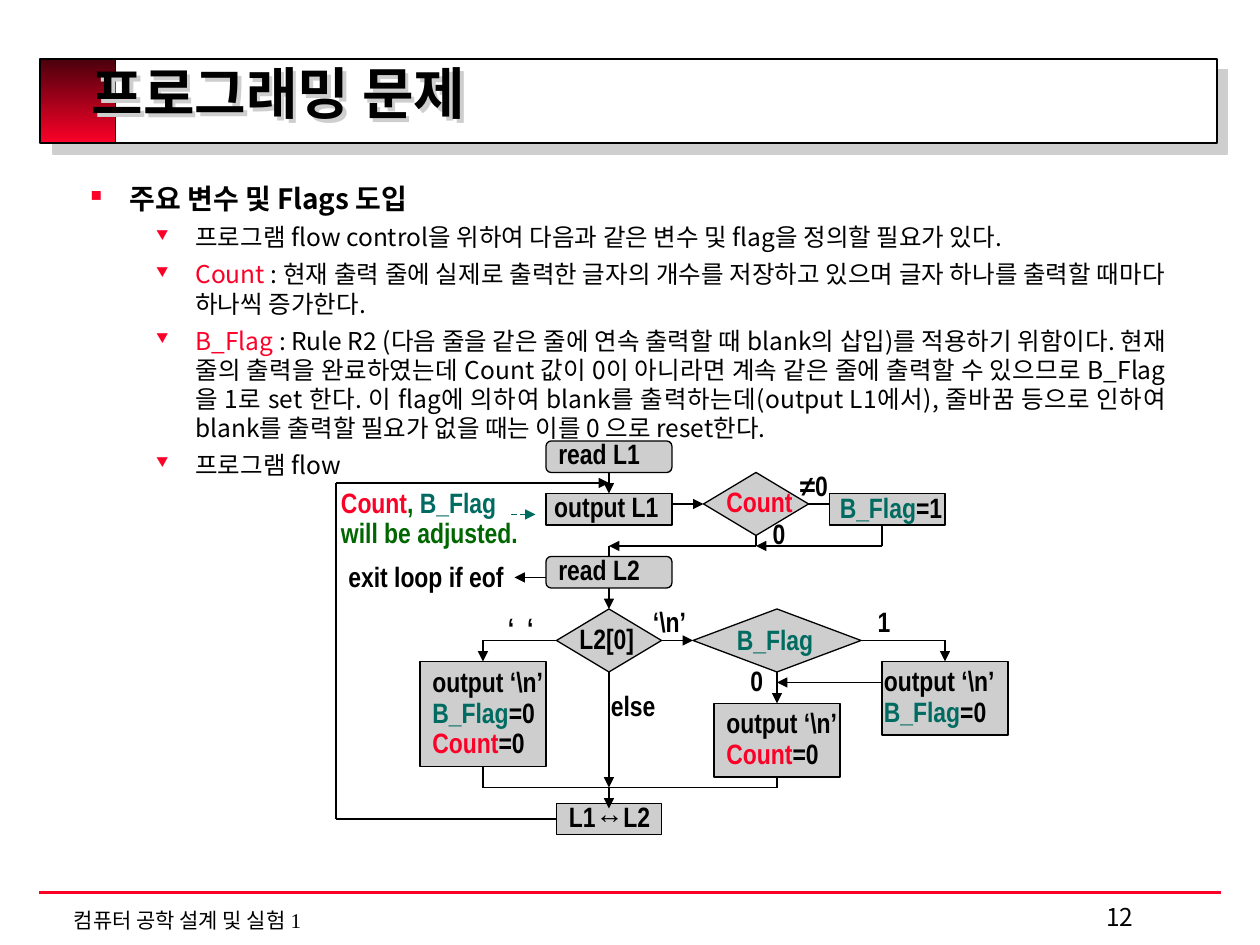
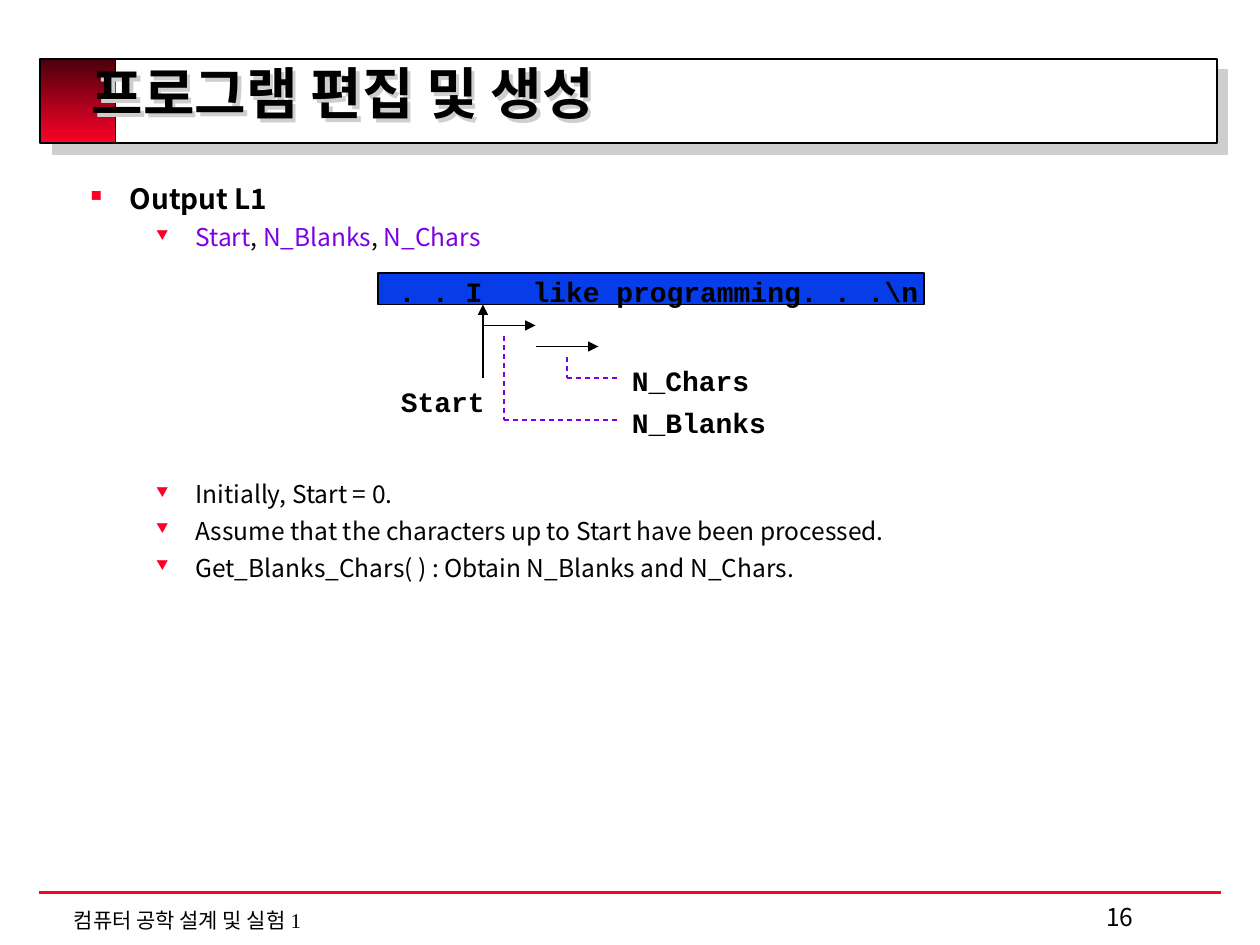
import itertools

import pptx
import pptx.dml.color
import pptx.enum.dml
import pptx.enum.shapes
import pptx.enum.text
import pptx.oxml.ns
import pptx.util
from lxml import etree

Cm, Pt = pptx.util.Cm, pptx.util.Pt
qn = pptx.oxml.ns.qn
rgb = pptx.dml.color.RGBColor.from_string
SHAPE = pptx.enum.shapes.MSO_SHAPE
RECT, ROUND, DIAMOND = SHAPE.RECTANGLE, SHAPE.ROUNDED_RECTANGLE, SHAPE.DIAMOND

BLACK, WHITE, RED, DARK_RED = "000000", "FFFFFF", "FC0128", "4B000C"
GRAY, TEAL, GREEN, VIOLET, BLUE = "CECECE", "006B61", "006600", "7B00E4", "063DE8"
SANS, SERIF, NARROW, MONO = "Noto Sans CJK KR", "Times New Roman", "Arial Narrow", "Courier New"
GRID = 2.54 / 12  # diagrams sit on a grid of twelve steps to the inch, in cm


def add_text(s, x, y, w, h, paras, size, font, bold=False, wrap=True):
    """Add a text box; each paragraph is a list of (text, colour) runs."""
    sp = s.shapes.add_textbox(Cm(x), Cm(y), Cm(w), Cm(h))
    tf = sp.text_frame
    tf.word_wrap = wrap
    for i, runs in enumerate(paras):
        p = tf.paragraphs[0] if i == 0 else tf.add_paragraph()
        for text, color in runs:
            r = p.add_run()
            r.text = text
            r.font.size = Pt(size)
            r.font.bold = bold
            r.font.color.rgb = rgb(color)
            r.font.name = font
            etree.SubElement(r._r.get_or_add_rPr(), qn("a:ea"), typeface=SANS)
    return sp


def add_box(s, kind, x, y, w, h, fill, width=0.75):
    sp = s.shapes.add_shape(kind, Cm(x), Cm(y), Cm(w), Cm(h))
    sp.shadow.inherit = False
    sp.fill.solid()
    sp.fill.fore_color.rgb = rgb(fill)
    sp.line.color.rgb = rgb(BLACK)
    sp.line.width = Pt(width)
    return sp


# Body: (level, space before in points, runs)
flow_body = [
    (0, 0, [("주요 변수 및 Flags 도입", BLACK)]),
    (1, 4.4, [("프로그램 flow control을 위하여 다음과 같은 변수 및 flag을 정의할 필요가 있다.", BLACK)]),
    (1, 4.4, [("Count ", RED),
              (": 현재 출력 줄에 실제로 출력한 글자의 개수를 저장하고 있으며 글자 하나를 출력할 "
               "때마다 하나씩 증가한다.", BLACK)]),
    (1, 4.4, [("B_Flag", RED),
              (" : Rule R2 (다음 줄을 같은 줄에 연속 출력할 때 blank의 삽입)를 적용하기 위함이다. "
               "현재 줄의 출력을 완료하였는데 Count 값이 0이 아니라면 계속 같은 줄에 출력할 수 있으므로 "
               "B_Flag 을 1로 set 한다. 이 flag에 의하여 blank를 출력하는데(output L1에서), "
               "줄바꿈 등으로 인하여 blank를 출력할 필요가 없을 때는 이를 0 으로 reset한다.", BLACK)]),
    (1, 4.4, [("프로그램 flow", BLACK)]),
]
output_body = [
    (0, 0, [("Output L1", BLACK)]),
    (1, 4.4, [("Start", VIOLET), (", ", BLACK), ("N_Blanks", VIOLET), (", ", BLACK),
              ("N_Chars", VIOLET)]),
    (1, 130, [("Initially, Start = 0.", BLACK)]),
    (1, 4.4, [("Assume that the characters up to Start have been processed.", BLACK)]),
    (1, 4.4, [("Get_Blanks_Chars( ) : Obtain N_Blanks and N_Chars.", BLACK)]),
]

# Boxes: (kind, x, y, w, h, fill) in grid steps
flow_boxes = [
    (ROUND, 52, 42, 12, 3, GRAY),
    (RECT, 52, 47, 12, 3, GRAY),
    (DIAMOND, 67, 45, 10, 6, GRAY),
    (RECT, 79, 47, 11, 3, GRAY),
    (ROUND, 52, 53, 12, 3, GRAY),
    (DIAMOND, 53, 58, 10, 6, GRAY),
    (DIAMOND, 66, 58, 16, 6, GRAY),
    (RECT, 40, 63, 12, 10, GRAY),
    (RECT, 84, 63, 12, 7, GRAY),
    (RECT, 68, 67, 12, 7, GRAY),
    (RECT, 53, 76.5, 10, 3, GRAY),
]
output_boxes = [(RECT, 36, 26, 52, 3, BLUE)]

# Labels: (x, y, w, paragraphs) in grid steps, each wide enough for its longest line
newline = [("output ‘\\n’", BLACK)]
flag_zero = [("B_Flag", TEAL), ("=0", BLACK)]
count_zero = [("Count", RED), ("=0", BLACK)]
flow_labels = [
    (52, 41, 12, [[("read L1", BLACK)]]),
    (51.6, 46, 14, [[("output L1", BLACK)]]),
    (68, 45.6, 11, [[("Count", RED)]]),
    (75, 44, 8, [[("≠0", BLACK)]]),
    (72.4, 48.6, 5, [[("0", BLACK)]]),
    (78.8, 46.1, 15, [[("B_Flag", TEAL), ("=1", BLACK)]]),
    (31.3, 46, 23, [[("Count", RED), (", ", GREEN), ("B_Flag", TEAL)],
                    [("will be adjusted.", GREEN)]]),
    (52, 52, 12, [[("read L2", BLACK)]]),
    (32, 52.7, 20, [[("exit loop if eof", BLACK)]]),
    (54, 58.6, 10, [[("L2[0]", BLACK)]]),
    (47.2, 57.6, 7, [[("‘  ‘", BLACK)]]),
    (61, 57, 8, [[("‘\\n’", BLACK)]]),
    (57, 65, 10, [[("else", BLACK)]]),
    (69, 58.7, 12, [[("B_Flag", TEAL)]]),
    (82.4, 57, 5, [[("1", BLACK)]]),
    (70.3, 62.6, 5, [[("0", BLACK)]]),
    (40, 63.1, 15, [newline, flag_zero, count_zero]),
    (83, 63, 15, [newline, flag_zero]),
    (68, 67, 15, [newline, count_zero]),
    (53, 75.6, 13, [[("L1↔L2", BLACK)]]),
]
output_labels = [
    (36.8, 25.6, 55, [[(". . I   like programming. . .\\n", BLACK)]]),
    (37, 36, 12, [[("Start", BLACK)]]),
    (59, 34, 16, [[("N_Chars", BLACK)]]),
    (59, 38, 18, [[("N_Blanks", BLACK)]]),
]

# Paths: (points in grid steps, arrow at the end, colour, dashed)
flow_paths = [
    ([(58, 45), (58, 47)], True, BLACK, False),
    ([(64, 48), (67, 48)], True, BLACK, False),
    ([(77, 48), (79, 48)], False, BLACK, False),
    ([(84, 50), (84, 52), (72, 52)], True, BLACK, False),
    ([(72, 51), (72, 52), (58, 52)], True, BLACK, False),
    ([(58, 52), (58, 53)], False, BLACK, False),
    ([(52, 55), (49, 55)], True, BLACK, False),
    ([(58, 56), (58, 58)], True, BLACK, False),
    ([(53, 61), (46, 61), (46, 63)], True, BLACK, False),
    ([(63, 61), (66, 61)], True, BLACK, False),
    ([(82, 61), (90, 61), (90, 63)], True, BLACK, False),
    ([(84, 65), (74, 65)], True, BLACK, False),
    ([(74, 64), (74, 67)], True, BLACK, False),
    ([(58, 64), (58, 75)], True, BLACK, False),
    ([(46, 73), (46, 75), (74, 75), (74, 74)], False, BLACK, False),
    ([(58, 75), (58, 77)], True, BLACK, False),
    ([(53, 78), (32, 78), (32, 46), (58, 46)], True, BLACK, False),
    ([(48.7, 49), (51, 49)], True, TEAL, True),
]
output_paths = [
    ([(46, 36), (46, 29)], True, BLACK, False),
    ([(46, 31), (51, 31)], True, BLACK, False),
    ([(51, 33), (57, 33)], True, BLACK, False),
    ([(54, 34), (54, 36), (59, 36)], False, VIOLET, True),
    ([(48, 32), (48, 40), (59, 40)], False, VIOLET, True),
]
footer_rule = ([(3.75, 85), (116.25, 85)], False, RED, False)

prs = pptx.Presentation()
prs.slide_width, prs.slide_height = Cm(25.4), Cm(19.05)

for title, number, body, font, boxes, labels, paths in [
    ("프로그래밍 문제", "12", flow_body, NARROW, flow_boxes, flow_labels, flow_paths),
    ("프로그램 편집 및 생성", "16", output_body, MONO, output_boxes, output_labels, output_paths),
]:
    s = prs.slides.add_slide(prs.slide_layouts[6])

    # Title band and red square
    band = add_box(s, RECT, 0.86, 1.19, 23.67, 1.7, WHITE, 1)
    square = add_box(s, RECT, 0.81, 1.19, 1.52, 1.7, RED, 1)
    square.fill.gradient()
    square.fill.gradient_angle = 270
    for stop, color in zip(square.fill.gradient_stops, (DARK_RED, RED)):
        stop.color.rgb = rgb(color)

    # Title
    heading = add_text(s, 1.6, 0.84, 22.22, 2.29, [[(title, BLACK)]], 32, SERIF, bold=True)
    heading.text_frame.vertical_anchor = pptx.enum.text.MSO_ANCHOR.MIDDLE
    heading.text_frame.paragraphs[0].line_spacing = 0.8
    heading.shadow.inherit = False

    # Grey offset shadows of the band and the title
    for sp, distance in ((band, 8.5), (heading, 3)):
        effects = sp._element.spPr.find(qn("a:effectLst"))
        shadow = etree.SubElement(effects, qn("a:outerShdw"), dist=str(Pt(distance)),
                                  dir="2700000", algn="ctr", rotWithShape="0")
        etree.SubElement(shadow, qn("a:srgbClr"), val=GRAY)

    # Footer
    add_text(s, 1.24, 18.18, 16.97, 0.76, [[("컴퓨터 공학 설계 및 실험 1", BLACK)]], 12, SERIF)
    add_text(s, 22.05, 18.06, 2.74, 0.84, [[(number, BLACK)]], 14, SANS)

    # Body
    tf = add_text(s, 1.58, 3.54, 22.17, 13.2, [runs for _, _, runs in body], 14, SANS).text_frame
    for p, (level, before, _) in zip(tf.paragraphs, body):
        p.level = level
        p.alignment = pptx.enum.text.PP_ALIGN.JUSTIFY
        p.space_before = Pt(before)
        p.line_spacing = Pt((19, 16.7)[level])
        for r in p.runs:
            r.font.size = Pt((16, 14)[level])
            r.font.bold = level == 0
        pPr = p._p.get_or_add_pPr()
        pPr.set("marL", str(Cm((0.79, 2.11)[level])))
        pPr.set("indent", str(Cm(-0.79)))
        color = etree.SubElement(pPr, qn("a:buClr"))
        etree.SubElement(color, qn("a:srgbClr"), val=RED)
        etree.SubElement(pPr, qn("a:buSzPct"), val="55000")
        etree.SubElement(pPr, qn("a:buChar"), char="■▼"[level])

    # Diagram
    for kind, x, y, w, h, fill in boxes:
        add_box(s, kind, x * GRID, y * GRID, w * GRID, h * GRID, fill)

    for x, y, w, paras in labels:
        h = 1.5 + 2.8 * len(paras)
        tf = add_text(s, x * GRID, y * GRID, w * GRID, h * GRID, paras, 16, font,
                      bold=True).text_frame
        if len(paras) > 1:
            for p in tf.paragraphs:
                p.line_spacing = 0.9

    for path_data in [footer_rule] + paths:
        points, arrow, color, dashed = path_data
        for start, end in itertools.pairwise(points):
            ends = [Cm(v * GRID) for v in start + end]
            cx = s.shapes.add_connector(pptx.enum.shapes.MSO_CONNECTOR.STRAIGHT, *ends)
            cx.line.color.rgb = rgb(color)
            cx.line.width = Pt(2.25 if path_data is footer_rule else 0.75)
            if dashed:
                cx.line.dash_style = pptx.enum.dml.MSO_LINE.DASH
            if arrow and end == points[-1]:
                etree.SubElement(cx.line._get_or_add_ln(), qn("a:tailEnd"), type="triangle")
            etree.SubElement(cx._element.spPr, qn("a:effectLst"))

prs.save("out.pptx")
